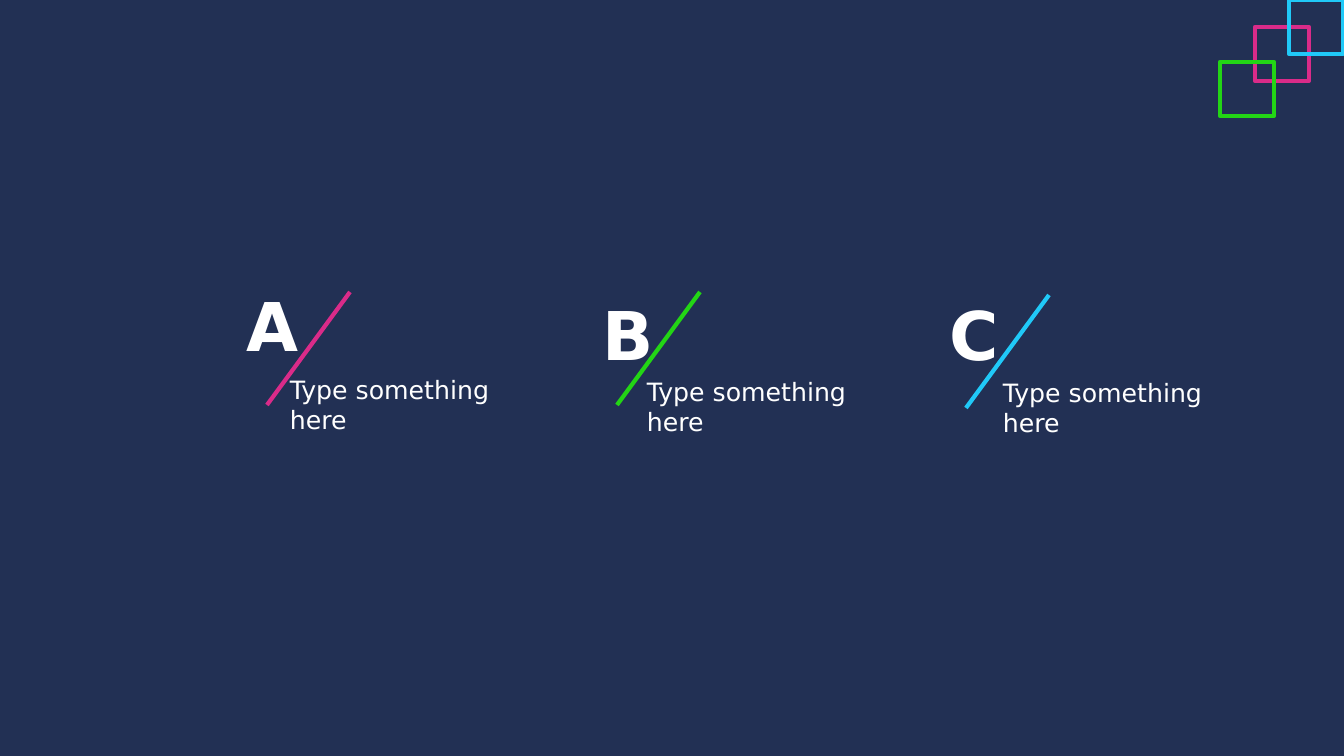
import pptx
import pptx.util
import pptx.dml.color
import pptx.enum.shapes
import pptx.enum.text
import pptx.oxml.ns
import lxml.etree

PX = 914400 / 100.8
FONT = "DejaVu Sans"
COLORS = {
    "navy": "223054",
    "white": "FFFFFF",
    "pink": "DA2B89",
    "green": "23D515",
    "cyan": "20C9F8",
}

# letter, colour, slash corner, letter offset, caption offset
OPTIONS = [
    ("A", "pink", (267, 292), (-30, -13), (13, 77)),
    ("B", "green", (617, 292), (-24, -4), (20, 79)),
    ("C", "cyan", (966, 295), (-26, -7), (27, 77)),
]
SQUARES = [("pink", 35, 27), ("cyan", 69, 0), ("green", 0, 62)]


def px(n):
    return pptx.util.Emu(round(n * PX))


def rgb(name):
    return pptx.dml.color.RGBColor.from_string(COLORS[name])


def set_line(s, color):
    s.line.color.rgb = rgb(color)
    s.line.width = pptx.util.Pt(3)


def add_text(slide, text, x, y, w, h, size, bold=False, color="white"):
    s = slide.shapes.add_textbox(px(x), px(y), px(w), px(h))
    tf = s.text_frame
    tf.word_wrap = True
    tf.auto_size = pptx.enum.text.MSO_AUTO_SIZE.SHAPE_TO_FIT_TEXT
    r = tf.paragraphs[0].add_run()
    r.text = text
    r.font.name = FONT
    r.font.size = pptx.util.Pt(size)
    r.font.bold = bold
    r.font.color.rgb = rgb(color)


def add_slash(slide, color, x, y, w, h):
    """Draw a line from the top right to the bottom left of the box."""
    s = slide.shapes.add_connector(
        pptx.enum.shapes.MSO_CONNECTOR.STRAIGHT,
        px(x + w), px(y), px(x), px(y + h))
    set_line(s, color)
    sp_pr = s._element.spPr
    lxml.etree.SubElement(sp_pr, pptx.oxml.ns.qn("a:effectLst"))


def add_option(slide, letter, color, corner, letter_offset, caption_offset):
    x, y = corner
    add_slash(slide, color, x, y, 83, 113)
    dx, dy = letter_offset
    add_text(slide, letter, x + dx, y + dy, 89, 92, size=48, bold=True)
    dx, dy = caption_offset
    add_text(slide, "Type something here", x + dx, y + dy, 265, 102, size=18)


def add_corner_squares(slide, x, y, side):
    group = slide.shapes.add_group_shape()
    for color, dx, dy in SQUARES:
        s = group.shapes.add_shape(
            pptx.enum.shapes.MSO_SHAPE.RECTANGLE,
            px(x + dx), px(y + dy), px(side), px(side))
        s.shadow.inherit = False
        s.fill.background()
        set_line(s, color)


def build_options_slide(prs):
    slide = prs.slides.add_slide(prs.slide_layouts[6])
    fill = slide.background.fill
    fill.solid()
    fill.fore_color.rgb = rgb("navy")
    for option in OPTIONS:
        add_option(slide, *option)
    add_corner_squares(slide, 1220, 0, 54)


def main():
    prs = pptx.Presentation()
    prs.slide_width, prs.slide_height = px(1344), px(756)
    build_options_slide(prs)
    prs.save("out.pptx")


if __name__ == "__main__":
    main()
